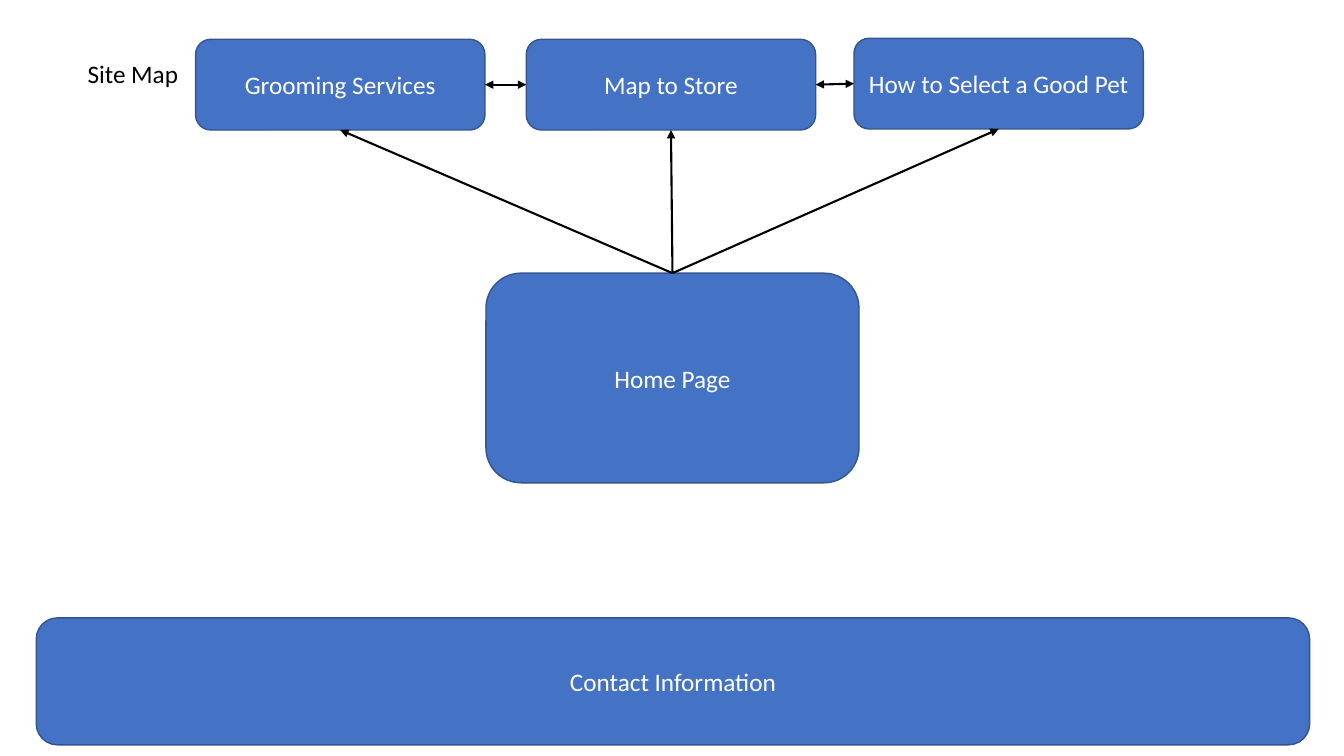
from dataclasses import dataclass

from lxml import etree
from pptx import Presentation
from pptx.dml.color import RGBColor
from pptx.enum.shapes import MSO_CONNECTOR, MSO_SHAPE
from pptx.enum.text import MSO_ANCHOR, MSO_AUTO_SIZE, PP_ALIGN
from pptx.oxml.ns import qn
from pptx.shapes.autoshape import Shape
from pptx.slide import Slide
from pptx.text.text import TextFrame
from pptx.util import Inches, Pt

ROUNDED = MSO_SHAPE.ROUNDED_RECTANGLE
STRAIGHT = MSO_CONNECTOR.STRAIGHT
MIDDLE = MSO_ANCHOR.MIDDLE
CENTER = PP_ALIGN.CENTER
FIT_SHAPE = MSO_AUTO_SIZE.SHAPE_TO_FIT_TEXT

BLUE = RGBColor(0x44, 0x72, 0xC4)
DARK_BLUE = RGBColor(0x32, 0x54, 0x91)
WHITE = RGBColor(0xFF, 0xFF, 0xFF)
BLACK = RGBColor(0x00, 0x00, 0x00)

FONT = "Calibri"
TOP, LEFT, BOTTOM, RIGHT = range(4)


@dataclass(frozen=True)
class Page:
    title: str
    left: float
    top: float
    width: float
    height: float


HOME = Page("Home Page", 4.82, 2.71, 3.7, 2.08)
CONTACT = Page("Contact Information", 0.36, 6.13, 12.63, 1.26)
SUBPAGES = [
    Page("Grooming Services", 1.94, 0.39, 2.87, 0.9),
    Page("Map to Store", 5.22, 0.39, 2.87, 0.9),
    Page("How to Select a Good Pet", 8.47, 0.38, 2.87, 0.9),
]


def set_text(tf: TextFrame, text: str, color: RGBColor) -> None:
    tf.text = text
    font = tf.paragraphs[0].runs[0].font
    font.name = FONT
    font.size = Pt(18)
    font.color.rgb = color


def add_page(s: Slide, page: Page) -> Shape:
    sp = s.shapes.add_shape(ROUNDED, Inches(page.left), Inches(page.top),
                            Inches(page.width), Inches(page.height))
    sp.shadow.inherit = False
    sp.fill.solid()
    sp.fill.fore_color.rgb = BLUE
    sp.line.color.rgb = DARK_BLUE
    sp.line.width = Pt(1)
    tf = sp.text_frame
    tf.word_wrap = True
    tf.vertical_anchor = MIDDLE
    set_text(tf, page.title, WHITE)
    tf.paragraphs[0].alignment = CENTER
    return sp


def add_arrow(s: Slide, start: Shape, start_side: int, end: Shape,
              end_side: int, both_ways: bool = False) -> None:
    cxn = s.shapes.add_connector(STRAIGHT, 0, 0, 0, 0)
    cxn.begin_connect(start, start_side)
    cxn.end_connect(end, end_side)
    cxn.line.color.rgb = BLACK
    cxn.line.width = Pt(1.5)
    ln = cxn.line._get_or_add_ln()
    for tag in ("a:headEnd", "a:tailEnd") if both_ways else ("a:tailEnd",):
        etree.SubElement(ln, qn(tag), type="triangle")
    etree.SubElement(cxn._element.spPr, qn("a:effectLst"))


def add_label(s: Slide) -> None:
    box = s.shapes.add_textbox(Inches(0.77), Inches(0.53), Inches(1.16), Inches(0.4))
    tf = box.text_frame
    tf.word_wrap = True
    tf.auto_size = FIT_SHAPE
    set_text(tf, "Site Map", BLACK)


def main() -> None:
    prs = Presentation()
    prs.slide_width = Inches(13.33)
    prs.slide_height = Inches(7.5)
    s = prs.slides.add_slide(prs.slide_layouts[6])

    add_label(s)
    home = add_page(s, HOME)
    subpages = [add_page(s, page) for page in SUBPAGES]
    add_page(s, CONTACT)

    for subpage in subpages:
        add_arrow(s, home, TOP, subpage, BOTTOM)
    for left, right in zip(subpages, subpages[1:]):
        add_arrow(s, left, RIGHT, right, LEFT, both_ways=True)

    prs.save("out.pptx")


if __name__ == "__main__":
    main()
